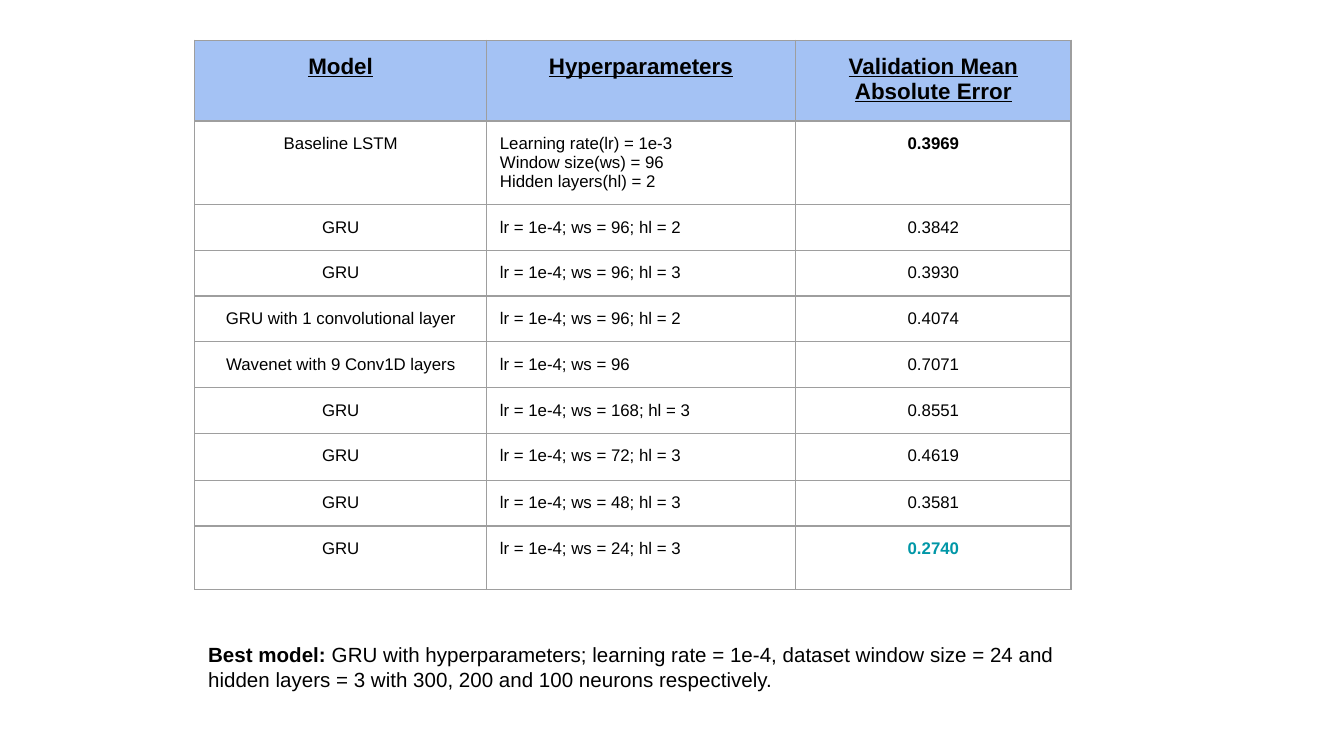
from dataclasses import dataclass

from lxml import etree
from pptx import Presentation
from pptx.dml.color import RGBColor
from pptx.enum.text import MSO_AUTO_SIZE, PP_ALIGN
from pptx.oxml.ns import qn
from pptx.util import Inches, Pt

LEFT, CENTER = PP_ALIGN.LEFT, PP_ALIGN.CENTER
GROW = MSO_AUTO_SIZE.SHAPE_TO_FIT_TEXT


@dataclass(frozen=True)
class Theme:
    font: str = "Arial"
    text: str = "000000"
    accent: str = "0097A7"
    header_fill: str = "A4C2F4"
    border: str = "9E9E9E"
    border_width: float = 0.75
    header_size: int = 12
    body_size: int = 9
    note_size: int = 11
    inset: float = 0.1


@dataclass(frozen=True)
class Result:
    model: str
    hyperparameters: tuple[str, ...]
    error: str
    height: float
    bold: bool = False
    color: str = Theme.text


THEME = Theme()
SLIDE_WIDTH = Inches(10)
SLIDE_HEIGHT = SLIDE_WIDTH * 9 // 16
HEADINGS = ("Model", "Hyperparameters", "Validation Mean Absolute Error")
HEADER_HEIGHT = 0.6
COLUMN_WIDTHS = (2.17, 2.3, 2.05)
TABLE_LEFT, TABLE_TOP = 1.45, 0.3

RESULTS = (
    Result("Baseline LSTM",
           ("Learning rate(lr) = 1e-3", "Window size(ws) = 96", "Hidden layers(hl) = 2"),
           "0.3969", 0.57, bold=True),
    Result("GRU", ("lr = 1e-4; ws = 96; hl = 2",), "0.3842", 0.28),
    Result("GRU", ("lr = 1e-4; ws = 96; hl = 3",), "0.3930", 0.29),
    Result("GRU with 1 convolutional layer", ("lr = 1e-4; ws = 96; hl = 2",), "0.4074", 0.3),
    Result("Wavenet with 9 Conv1D layers", ("lr = 1e-4; ws = 96",), "0.7071", 0.3),
    Result("GRU", ("lr = 1e-4; ws = 168; hl = 3",), "0.8551", 0.32),
    Result("GRU", ("lr = 1e-4; ws = 72; hl = 3",), "0.4619", 0.35),
    Result("GRU", ("lr = 1e-4; ws = 48; hl = 3",), "0.3581", 0.33),
    Result("GRU", ("lr = 1e-4; ws = 24; hl = 3",), "0.2740", 0.47,
           bold=True, color=THEME.accent),
)


def add_text(paragraph, text: str, *, size: float, bold: bool = False,
             underline: bool = False, color: str = THEME.text, align=LEFT) -> None:
    paragraph.alignment = align
    run = paragraph.add_run()
    run.text = text
    font = run.font
    font.name, font.size = THEME.font, Pt(size)
    font.bold, font.underline = bold, underline
    font.color.rgb = RGBColor.from_string(color)


def set_insets(holder) -> None:
    holder.margin_left = holder.margin_right = Inches(THEME.inset)
    holder.margin_top = holder.margin_bottom = Inches(THEME.inset)


def add_borders(cell) -> None:
    properties = cell._tc.get_or_add_tcPr()
    for position, side in enumerate(("a:lnL", "a:lnR", "a:lnT", "a:lnB")):
        line = etree.Element(qn(side), w=str(Pt(THEME.border_width)))
        fill = etree.SubElement(line, qn("a:solidFill"))
        etree.SubElement(fill, qn("a:srgbClr"), val=THEME.border)
        properties.insert(position, line)


def fill_cell(cell, lines: tuple[str, ...], fill: str | None = None, **style) -> None:
    set_insets(cell)
    if fill:
        cell.fill.solid()
        cell.fill.fore_color.rgb = RGBColor.from_string(fill)
    else:
        cell.fill.background()
    add_borders(cell)
    frame = cell.text_frame
    for index, line in enumerate(lines):
        paragraph = frame.add_paragraph() if index else frame.paragraphs[0]
        add_text(paragraph, line, **style)


def add_results_table(slide) -> None:
    heights = (HEADER_HEIGHT, *(result.height for result in RESULTS))
    table = slide.shapes.add_table(
        len(heights), len(COLUMN_WIDTHS), Inches(TABLE_LEFT), Inches(TABLE_TOP),
        Inches(sum(COLUMN_WIDTHS)), Inches(sum(heights))).table
    table.horz_banding = False
    for column, width in zip(table.columns, COLUMN_WIDTHS):
        column.width = Inches(width)
    for row, height in zip(table.rows, heights):
        row.height = Inches(height)

    # Header row
    for column, heading in enumerate(HEADINGS):
        fill_cell(table.cell(0, column), (heading,), fill=THEME.header_fill,
                  size=THEME.header_size, bold=True, underline=True, align=CENTER)

    # One row per trained model
    size = THEME.body_size
    for row, result in enumerate(RESULTS, start=1):
        fill_cell(table.cell(row, 0), (result.model,), size=size, align=CENTER)
        fill_cell(table.cell(row, 1), result.hyperparameters, size=size)
        fill_cell(table.cell(row, 2), (result.error,), size=size, align=CENTER,
                  bold=result.bold, color=result.color)


def add_best_model_note(slide) -> None:
    frame = slide.shapes.add_textbox(
        Inches(TABLE_LEFT), Inches(4.68), Inches(6.51), Inches(0.57)).text_frame
    frame.word_wrap = True
    frame.auto_size = GROW
    set_insets(frame)
    note = frame.paragraphs[0]
    add_text(note, "Best model:", size=THEME.note_size, bold=True)
    add_text(note, " GRU with hyperparameters; learning rate = 1e-4, dataset window size = 24 "
             "and hidden layers = 3 with 300, 200 and 100 neurons respectively.",
             size=THEME.note_size)


def main() -> None:
    presentation = Presentation()
    presentation.slide_width, presentation.slide_height = SLIDE_WIDTH, SLIDE_HEIGHT
    slide = presentation.slides.add_slide(presentation.slide_layouts[6])
    add_results_table(slide)
    add_best_model_note(slide)
    presentation.save("out.pptx")


if __name__ == "__main__":
    main()
